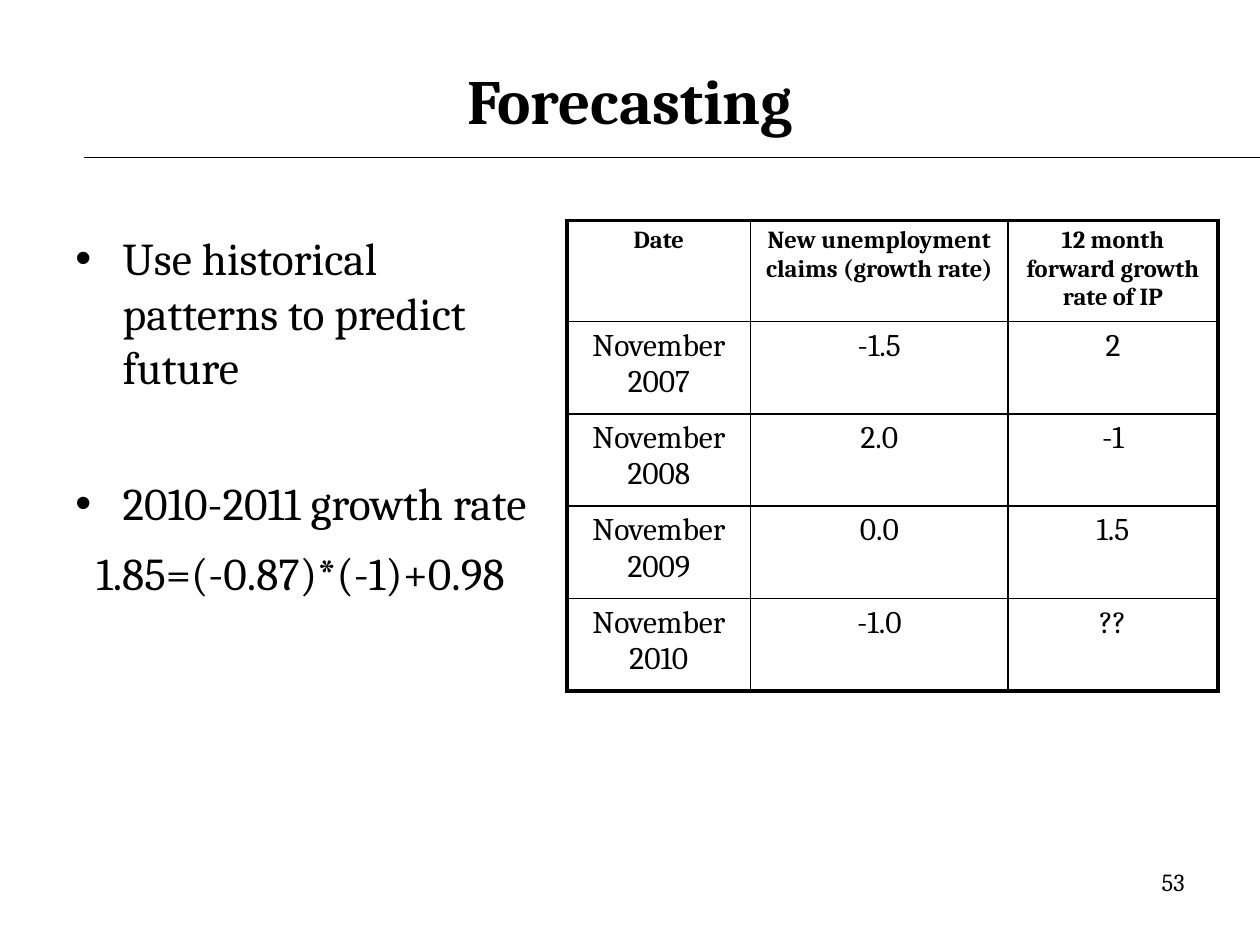
from pptx import Presentation
from pptx.dml.color import RGBColor
from pptx.enum.shapes import MSO_CONNECTOR
from pptx.enum.text import MSO_ANCHOR, PP_ALIGN
from pptx.oxml.ns import qn
from pptx.util import Pt
from lxml import etree

BLACK = RGBColor(0, 0, 0)
FONT = "Cambria"
LEFT, CENTER, RIGHT = PP_ALIGN.LEFT, PP_ALIGN.CENTER, PP_ALIGN.RIGHT
MIDDLE, TOP = MSO_ANCHOR.MIDDLE, MSO_ANCHOR.TOP
STRAIGHT = MSO_CONNECTOR.STRAIGHT


def write(paragraph, text, size, align=LEFT, bold=False):
    paragraph.text = text
    paragraph.alignment = align
    for run in paragraph.runs:
        run.font.name = FONT
        run.font.size = Pt(size)
        run.font.bold = bold
        run.font.color.rgb = BLACK


def add_frame(left, top, width, height, anchor=TOP):
    box = slide.shapes.add_textbox(Pt(left), Pt(top), Pt(width), Pt(height))
    box.text_frame.word_wrap = True
    box.text_frame.vertical_anchor = anchor
    return box.text_frame


prs = Presentation()
prs.slide_width, prs.slide_height = Pt(720), Pt(540)
slide = prs.slides.add_slide(prs.slide_layouts[6])

# Rule under the title
rule = slide.shapes.add_connector(STRAIGHT, Pt(48), Pt(90), Pt(720), Pt(90))
rule.line.color.rgb = BLACK
rule.line.width = Pt(0.75)
etree.SubElement(rule._element.spPr, qn("a:effectLst"))

# Title
title = add_frame(36, 24, 648, 66, MIDDLE)
write(title.paragraphs[0], "Forecasting", 36, CENTER, True)

# Points: text, bulleted, left margin, first-line indent, space before
points = [
    ("Use historical patterns to predict future", True, 27, -27, 0),
    ("2010-2011 growth rate", True, 27, -27, 46.5),
    ("1.85=(-0.87)*(-1)+0.98", False, 12, 0, 8.5),
]
body = add_frame(36, 128, 276, 354)
for i, (text, bulleted, margin, indent, space) in enumerate(points):
    paragraph = body.paragraphs[0] if i == 0 else body.add_paragraph()
    props = paragraph._p.get_or_add_pPr()
    props.set("marL", str(Pt(margin)))
    props.set("indent", str(Pt(indent)))
    if bulleted:
        etree.SubElement(props, qn("a:buFont"), typeface="Arial")
        etree.SubElement(props, qn("a:buChar"), char="•")
    paragraph.space_before = Pt(space)
    write(paragraph, text, 26)

# Table of claims and industrial production growth
rows = [
    ("Date", "New unemployment claims (growth rate)",
     "12 month forward growth rate of IP"),
    ("November 2007", "-1.5", "2"),
    ("November 2008", "2.0", "-1"),
    ("November 2009", "0.0", "1.5"),
    ("November 2010", "-1.0", "??"),
]
column_widths = [105, 147, 120]
header_height, row_height = 55.5, 52.8
last_row, last_column = len(rows) - 1, len(column_widths) - 1

growth = slide.shapes.add_table(
    len(rows), len(column_widths), Pt(324), Pt(126),
    Pt(sum(column_widths)), Pt(header_height + last_row * row_height)).table
growth.first_row = growth.horz_banding = False
for column, width in zip(growth.columns, column_widths):
    column.width = Pt(width)

for r, values in enumerate(rows):
    header = r == 0
    growth.rows[r].height = Pt(header_height if header else row_height)
    for c, value in enumerate(values):
        cell = growth.cell(r, c)
        write(cell.text_frame.paragraphs[0], value,
              14 if header else 18, CENTER, header)
        # Thick outer frame, thin inner grid
        outer_sides = {"a:lnL": c == 0, "a:lnR": c == last_column,
                       "a:lnT": header, "a:lnB": r == last_row}
        cell_props = cell._tc.get_or_add_tcPr()
        for side, outer in outer_sides.items():
            border = etree.SubElement(cell_props, qn(side),
                                      w=str(Pt(2.25 if outer else 1)))
            fill = etree.SubElement(border, qn("a:solidFill"))
            etree.SubElement(fill, qn("a:srgbClr"), val=str(BLACK))
        cell.fill.background()

# Slide number
number = add_frame(516, 492, 168, 37.5)
write(number.paragraphs[0], "53", 14, RIGHT)

prs.save("out.pptx")
